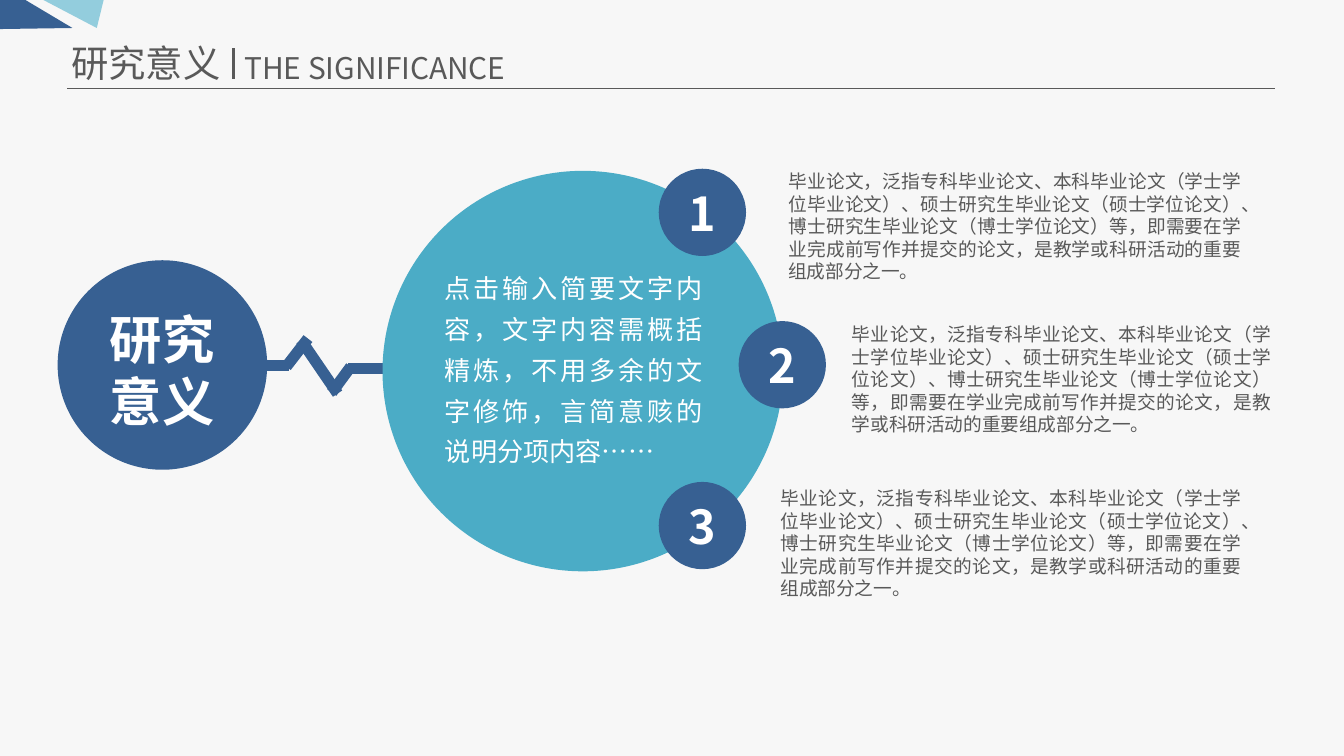
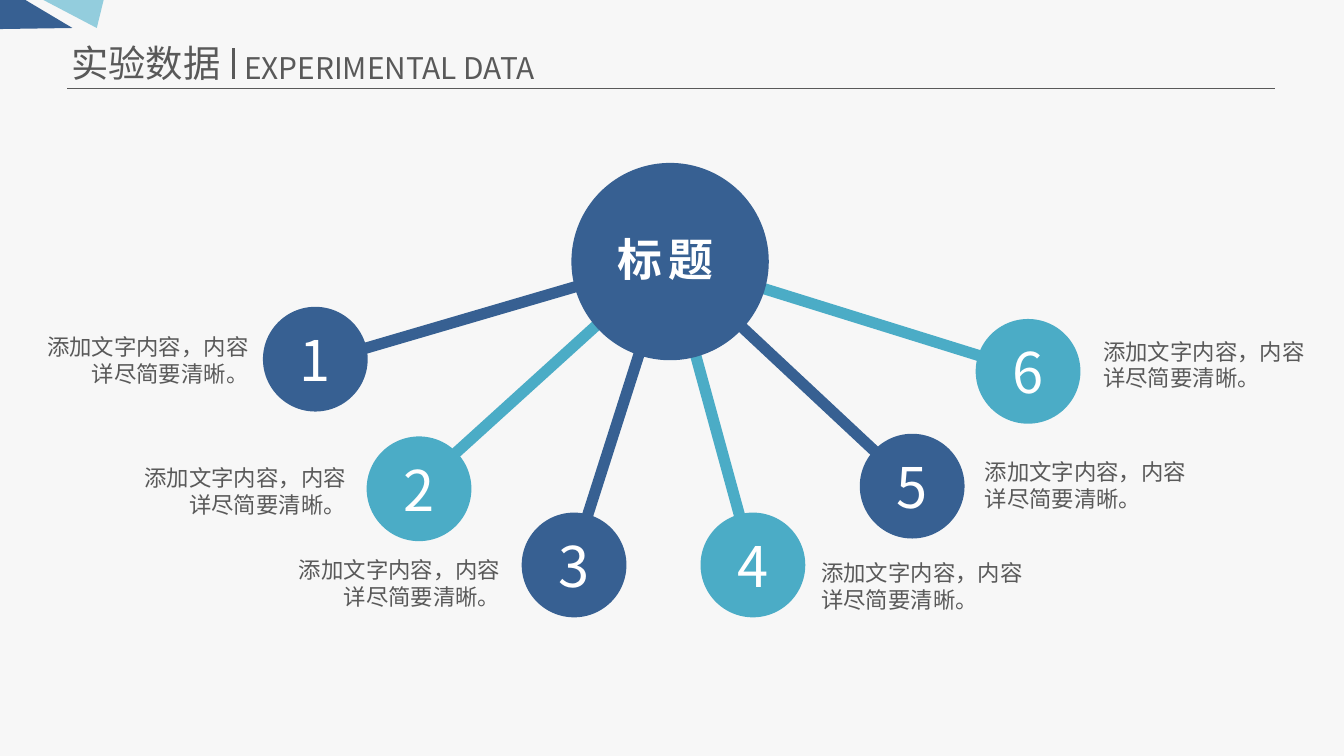
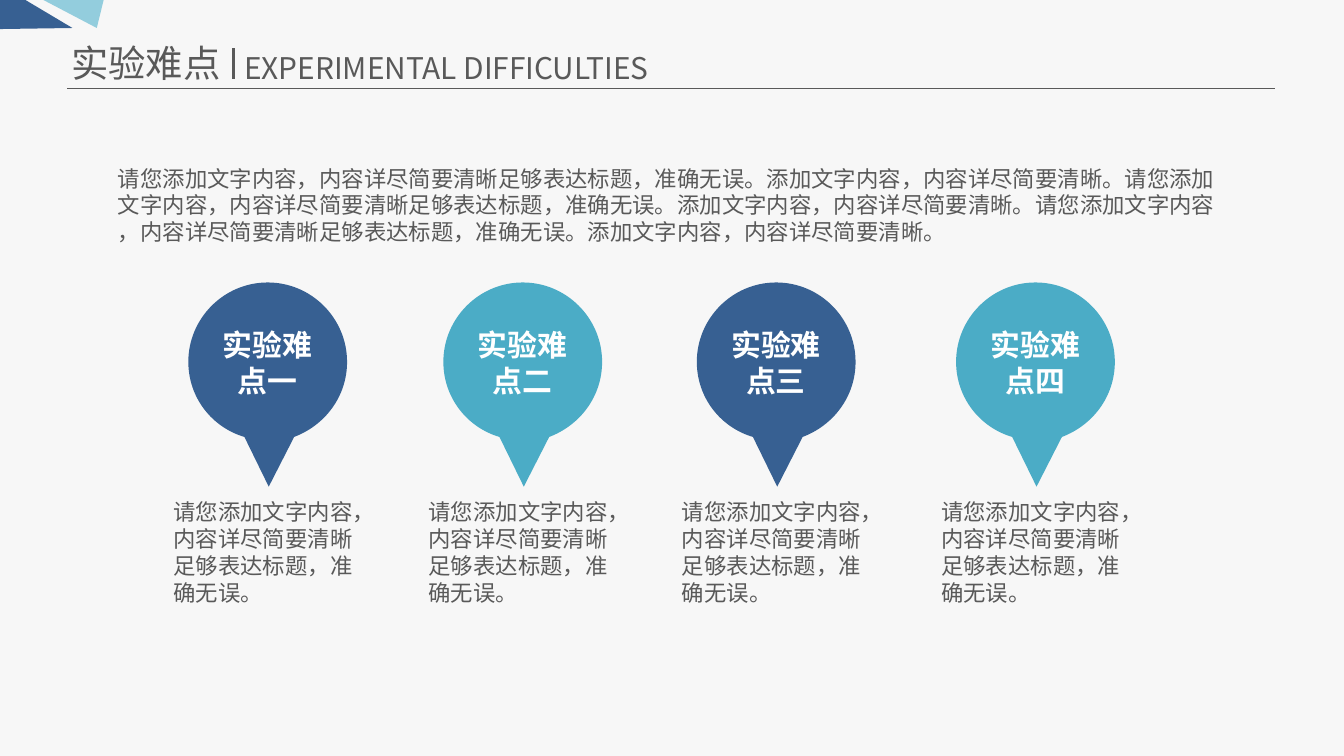
"""Build three thesis-defence slides: significance, experimental data, difficulties."""
import lxml.etree
import pptx
import pptx.dml.color
import pptx.enum.shapes
import pptx.enum.text
import pptx.oxml.ns
import pptx.util

Cm = pptx.util.Cm
Pt = pptx.util.Pt
ALIGN = pptx.enum.text.PP_ALIGN
STRAIGHT = pptx.enum.shapes.MSO_CONNECTOR.STRAIGHT
qn = pptx.oxml.ns.qn
FONT = "Noto Sans CJK SC"
COLORS = {
    "background": "F7F7F7",
    "text": "595959",
    "navy": "376092",
    "teal": "4BACC6",
    "sky": "93CDDD",
    "white": "FFFFFF",
}
RGB = {name: pptx.dml.color.RGBColor.from_string(value) for name, value in COLORS.items()}


def write(frame, text, size, color="text", bold=False, align=ALIGN.LEFT,
          leading=None, tracking=None, wrap=False, inset=None):
    frame.text = text
    frame.word_wrap = wrap
    if inset is not None:
        frame.margin_left = frame.margin_top = frame.margin_right = frame.margin_bottom = Cm(inset)
    for paragraph in frame.paragraphs:
        paragraph.alignment = align
        if leading:
            paragraph.line_spacing = leading
        font = paragraph.font
        font.name, font.size, font.bold = FONT, Pt(size), bold
        font.color.rgb = RGB[color]
        defaults = paragraph._p.pPr.find(qn("a:defRPr"))
        lxml.etree.SubElement(defaults, qn("a:ea")).set("typeface", FONT)
        if tracking:
            defaults.set("spc", str(tracking * 100))


def paint(shape, color):
    shape.shadow.inherit = False
    shape.fill.solid()
    shape.fill.fore_color.rgb = RGB[color]
    shape.line.fill.background()


thesis = ("毕业论文，泛指专科毕业论文、本科毕业论文（学士学位毕业论文）、硕士研究生毕业论文（硕士学位论文）、"
          "博士研究生毕业论文（博士学位论文）等，即需要在学业完成前写作并提交的论文，"
          "是教学或科研活动的重要组成部分之一。")
summary = "点击输入简要文字内容，文字内容需概括精炼，不用多余的文字修饰，言简意赅的说明分项内容……"
caption = "添加文字内容，内容\n详尽简要清晰。"
intro = ("请您添加文字内容，内容详尽简要清晰足够表达标题，准确无误。添加文字内容，内容详尽简要清晰。请您添加\n"
         "文字内容，内容详尽简要清晰足够表达标题，准确无误。添加文字内容，内容详尽简要清晰。请您添加文字内容\n"
         "，内容详尽简要清晰足够表达标题，准确无误。添加文字内容，内容详尽简要清晰。")
difficulty = "请您添加文字内容，内容详尽简要清晰足够表达标题，准确无误。"

pulse = [(4.22, 6.91, 5.46, 6.91), (6.58, 6.96, 7.62, 6.96), (5.41, 6.93, 5.82, 6.4),
         (6.27, 7.42, 6.63, 6.93), (6.38, 7.44, 5.69, 6.43)]
significance = {
    "title": "研究意义", "english": "THE SIGNIFICANCE", "english_width": 5.72,
    "lines": [(ends, "navy", 6) for ends in pulse],
    "circles": [(1.09, 4.92, 3.96, "navy", "", {}), (7.23, 3.23, 7.57, "teal", "", {})],
    "texts": [
        ((2.06, 5.8, 2.01, 2.39), "研究\n意义",
         dict(size=28, color="white", bold=True, align=ALIGN.CENTER, inset=0)),
        ((8.41, 4.98, 4.88, 3.89), summary,
         dict(size=14, color="white", align=ALIGN.JUSTIFY, leading=1.3, wrap=True, inset=0)),
    ],
    "pins": [],
}
points = [((12.45, 3.19), (14.9, 3.22, 8.56, 2.13)),
          ((13.96, 6.07), (16.1, 6.11, 7.92, 2.13)),
          ((12.45, 9.11), (14.75, 9.21, 8.71, 2.13))]
for number, ((left, top), box) in enumerate(points, 1):
    significance["circles"].append((left, top, 1.65, "navy", str(number), dict(size=25, bold=True)))
    significance["texts"].append((box, thesis, dict(size=10, align=ALIGN.JUSTIFY, wrap=True, inset=0)))

hub_x, hub_y, node_size = 12.65, 4.9, 1.98
data = {
    "title": "实验数据", "english": "EXPERIMENTAL DATA", "english_width": 6.32,
    "lines": [], "circles": [], "pins": [],
    "texts": [((11.43, 4.25, 2.44, 1.27), "标题",
               dict(size=24, color="white", bold=True, tracking=3))],
}
nodes = [((4.97, 5.8), 6.86, (0.58, 6.17)), ((6.93, 8.25), 9.19, (2.42, 8.65)),
         ((9.86, 9.69), 10.54, (5.34, 10.39)), ((13.24, 9.69), 10.67, (15.27, 10.44)),
         ((16.25, 8.2), 9.19, (18.36, 8.54)), ((18.44, 6.03), 7.01, (20.6, 6.26))]
for number, ((node_left, node_top), spoke_y, (left, top)) in enumerate(nodes, 1):
    color = "navy" if number % 2 else "teal"
    data["lines"].append(((node_left + node_size / 2, spoke_y, hub_x, hub_y), color, 6))
    data["circles"].append((node_left, node_top, node_size, color, str(number), dict(size=30)))
    data["texts"].append(((left, top, 4.37, 1.27), caption,
                          dict(size=12, align=ALIGN.RIGHT if node_left < 12 else ALIGN.LEFT)))
data["circles"].append((10.8, 3.08, 3.73, "navy", "", {}))

difficulties = {
    "title": "实验难点", "english": "EXPERIMENTAL DIFFICULTIES", "english_width": 8.46,
    "lines": [], "circles": [], "pins": [],
    "texts": [((1.98, 2.99, 21.46, 1.8), intro, dict(size=12))],
}
for index, (left, numeral) in enumerate(zip((3.56, 8.38, 13.17, 18.07), "一二三四")):
    difficulties["pins"].append((left, 5.34, "teal" if index % 2 else "navy"))
    difficulties["texts"] += [
        ((left + 0.16, 6.05, 2.67, 1.63), "实验难点" + numeral,
         dict(size=16, color="white", bold=True, align=ALIGN.CENTER, wrap=True)),
        ((left - 0.53, 9.3, 4.09, 2.31), difficulty, dict(size=12, wrap=True)),
    ]
pin_corners = [(1.52, 3.86), (1.06, 2.92), (0, 1.5), (1.5, 0), (3, 1.5), (2, 2.92)]
pin_handles = [((0.45, 2.74), (0, 2.18)), ((0, 0.68), (0.67, 0)),
               ((2.33, 0), (3, 0.68)), ((3, 2.16), (2.58, 2.7))]
header_rule = ((1.27, 1.67, 24.1, 1.67), "text", 0.75)
title_tick = ((4.41, 0.91, 4.41, 1.5), "text", 1.5)
corner = [([(0.82, 0), (1.83, 0.53), (1.96, 0)], "sky"),
          ([(1.37, 0.53), (0.48, 0), (0, 0), (0, 0.55)], "navy")]

deck = pptx.Presentation()
deck.slide_width, deck.slide_height = Cm(25.4), Cm(14.29)
backdrop = deck.slide_master.background.fill
backdrop.solid()
backdrop.fore_color.rgb = RGB["background"]
layout = deck.slide_layouts[5]

for position, content in enumerate((significance, data, difficulties)):
    slide = deck.slides.add_slide(layout)
    shapes = slide.shapes
    title = shapes.title
    title.left, title.top, title.width, title.height = Cm(1.09), Cm(0.64), Cm(3.35), Cm(1.12)
    write(title.text_frame, content["title"], 20)
    title.text_frame.vertical_anchor = pptx.enum.text.MSO_ANCHOR.TOP
    title.text_frame.auto_size = pptx.enum.text.MSO_AUTO_SIZE.SHAPE_TO_FIT_TEXT

    shared = [header_rule] if position == 0 else []
    for ends, color, weight in shared + [title_tick] + content["lines"]:
        line = shapes.add_connector(STRAIGHT, *map(Cm, ends))
        line.line.color.rgb = RGB[color]
        line.line.width = Pt(weight)
        lxml.etree.SubElement(line.element.spPr, qn("a:effectLst"))
        if ends == header_rule[0]:
            layout.shapes.element.append(line.element)

    for outline, color in corner if position == 0 else []:
        vertices = [(Cm(x), Cm(y)) for x, y in outline]
        piece = shapes.build_freeform(*vertices[0]).add_line_segments(vertices[1:]).convert_to_shape()
        paint(piece, color)
        layout.shapes.element.append(piece.element)

    for left, top, color in content["pins"]:
        vertices = [(Cm(left + x), Cm(top + y)) for x, y in pin_corners]
        pin = shapes.build_freeform(*vertices[0]).add_line_segments(vertices[1:]).convert_to_shape()
        paint(pin, color)
        sides = list(pin.element.iter(qn("a:lnTo")))[1:5]
        for side, handles in zip(sides, pin_handles):
            side.tag = qn("a:cubicBezTo")
            for order, (x, y) in enumerate(handles):
                handle = lxml.etree.Element(qn("a:pt"), x=str(Cm(x)), y=str(Cm(y)))
                side.insert(order, handle)

    for left, top, size, color, label, style in content["circles"]:
        circle = shapes.add_shape(pptx.enum.shapes.MSO_SHAPE.OVAL,
                                  Cm(left), Cm(top), Cm(size), Cm(size))
        paint(circle, color)
        if label:
            write(circle.text_frame, label, color="white", align=ALIGN.CENTER, wrap=True, **style)

    english = ((4.37, 0.81, content["english_width"], 0.94), content["english"], dict(size=16))
    for box, text, style in [english] + content["texts"]:
        write(shapes.add_textbox(*map(Cm, box)).text_frame, text, **style)

deck.save("out.pptx")
